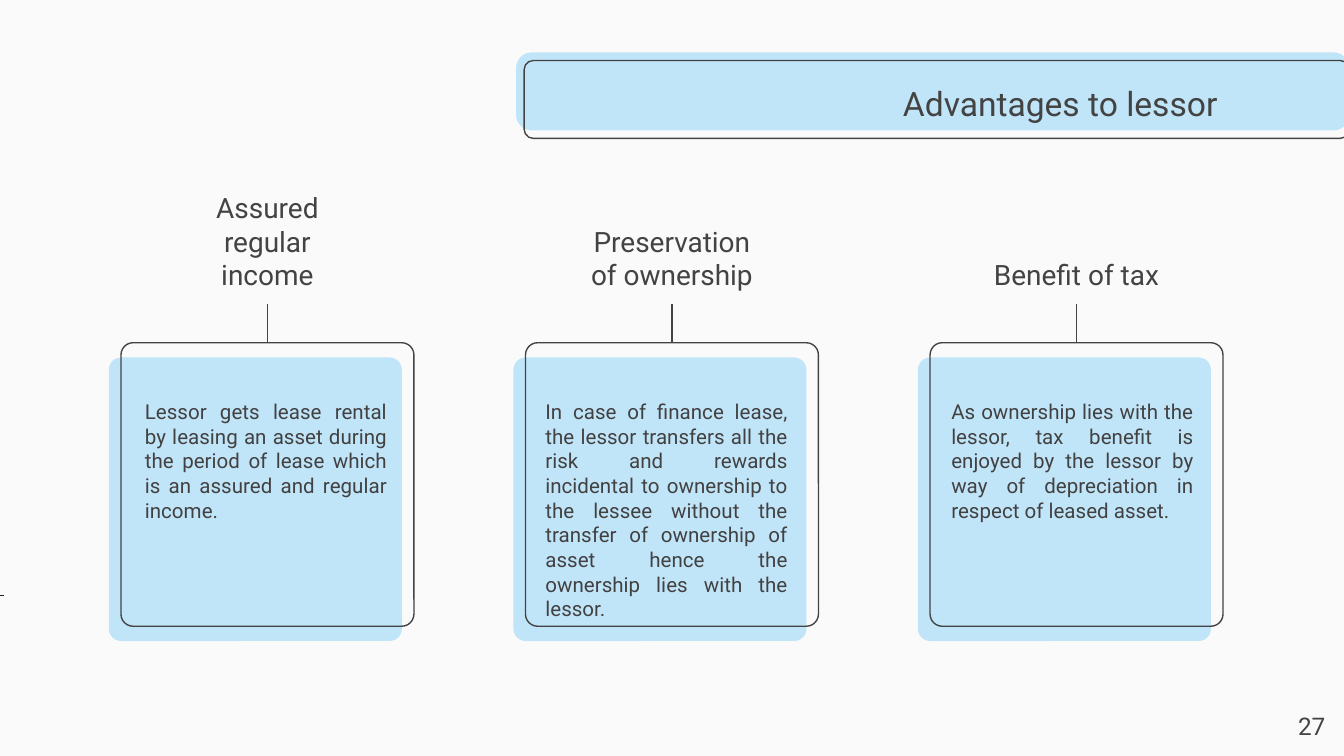
from dataclasses import dataclass

from lxml import etree
from pptx import Presentation
from pptx import util as u
from pptx.dml import color
from pptx.enum import shapes, text
from pptx.oxml import ns


@dataclass
class Theme:
    """Colours, font and type sizes of the slide."""
    paper: str = "FAFAFA"
    panel: str = "C1E5F8"
    ink: str = "434343"
    body_ink: str = "424142"
    tick: str = "1F1F1F"
    font: str = "Roboto"
    title: int = 18
    heading: int = 15
    number: int = 13
    body: int = 11


th = Theme()
rgb = color.RGBColor.from_string
A = text.PP_ALIGN
V = text.MSO_ANCHOR

# A 16:9 slide
prs = Presentation()
prs.slide_width = u.Inches(10)
prs.slide_height = prs.slide_width * 9 // 16
s = prs.slides.add_slide(prs.slide_layouts[5])
s.background.fill.solid()
s.background.fill.fore_color.rgb = rgb(th.paper)


def put_text(sp, box, words, size, align, anchor=V.TOP, ink=th.ink):
    """Place a text shape, set its wording and format, and return its paragraph."""
    sp.left, sp.top, sp.width, sp.height = map(u.Inches, box)
    tf = sp.text_frame
    tf.word_wrap, tf.auto_size = True, text.MSO_AUTO_SIZE.NONE
    tf.vertical_anchor = anchor
    tf.margin_left = tf.margin_right = tf.margin_top = tf.margin_bottom = u.Inches(0.1)
    p = tf.paragraphs[0]
    p.text, p.alignment = words, align
    p.font.name, p.font.size, p.font.color.rgb = th.font, u.Pt(size), rgb(ink)
    return p


def add_line(x1, y1, x2, y2, ink=th.ink, width=0.75):
    """Draw a straight line without a shadow."""
    sp = s.shapes.add_connector(shapes.MSO_CONNECTOR.STRAIGHT, *map(u.Inches, (x1, y1, x2, y2)))
    sp.line.color.rgb, sp.line.width = rgb(ink), u.Pt(width)
    etree.SubElement(sp.element.spPr, ns.qn("a:effectLst"))


# Three columns at an equal pitch
pitch = 3.01
card_w, card_h = 2.18, 2.11
columns = [
    ("Assured regular income", 0.98, 18,
     "Lessor gets lease rental by leasing an asset during the period of lease "
     "which is an assured and regular income."),
    ("Preservation of ownership", 3.96, 18,
     "In case of finance lease, the lessor transfers all the risk and rewards "
     "incidental to ownership to the lessee without the transfer of ownership "
     "of asset hence the ownership lies with the lessor."),
    ("Benefit of tax", 6.98, 0,
     "As ownership lies with the lessor, tax benefit is enjoyed by the lessor "
     "by way of depreciation in respect of leased asset."),
]

# Each panel is a filled rounded box with an offset outline: box, corner, filled
panels = [((3.84, 0.39, 6.2, 0.58), 0.199, True), ((3.9, 0.45, 6.14, 0.58), 0.119, False)]
for i in range(len(columns)):
    x = 0.81 + i * pitch
    panels += [((x, 2.66, card_w, card_h), 0.043, True),
               ((x + 0.09, 2.55, card_w, card_h), 0.043, False)]

for box, corner, filled in panels:
    sp = s.shapes.add_shape(shapes.MSO_SHAPE.ROUNDED_RECTANGLE, *map(u.Inches, box))
    sp.adjustments[0] = corner
    sp.shadow.inherit = False
    if filled:
        sp.fill.solid()
        sp.fill.fore_color.rgb = rgb(th.panel)
        sp.line.fill.background()
    else:
        sp.fill.background()
        sp.line.color.rgb, sp.line.width = rgb(th.ink), u.Pt(0.75)

for i, (heading, body_x, space_after, body) in enumerate(columns):
    centre = 1.99 + i * pitch
    add_line(centre, 2.26, centre, 2.55)
    put_text(s.shapes.add_textbox(0, 0, 0, 0), (centre - 0.78, 1.4, 1.56, 0.87),
             heading, th.heading, A.CENTER, V.BOTTOM)
    p = put_text(s.shapes.add_textbox(0, 0, 0, 0), (body_x, 2.87, 2, 1.83),
                 body, th.body, A.JUSTIFY, ink=th.body_ink)
    p.space_after = u.Pt(space_after)

add_line(0, 4.43, 0.03, 4.43, th.tick, 0.3)

# The title goes in front of its panel
title = s.shapes.title
put_text(title, (5.67, 0.5, 3.49, 0.53), "Advantages to lessor", th.title, A.RIGHT, V.MIDDLE)
title.element.getparent().append(title.element)

put_text(s.shapes.add_textbox(0, 0, 0, 0), (9.36, 5.19, 0.6, 0.43), "27", th.number, A.RIGHT)

prs.save("out.pptx")
